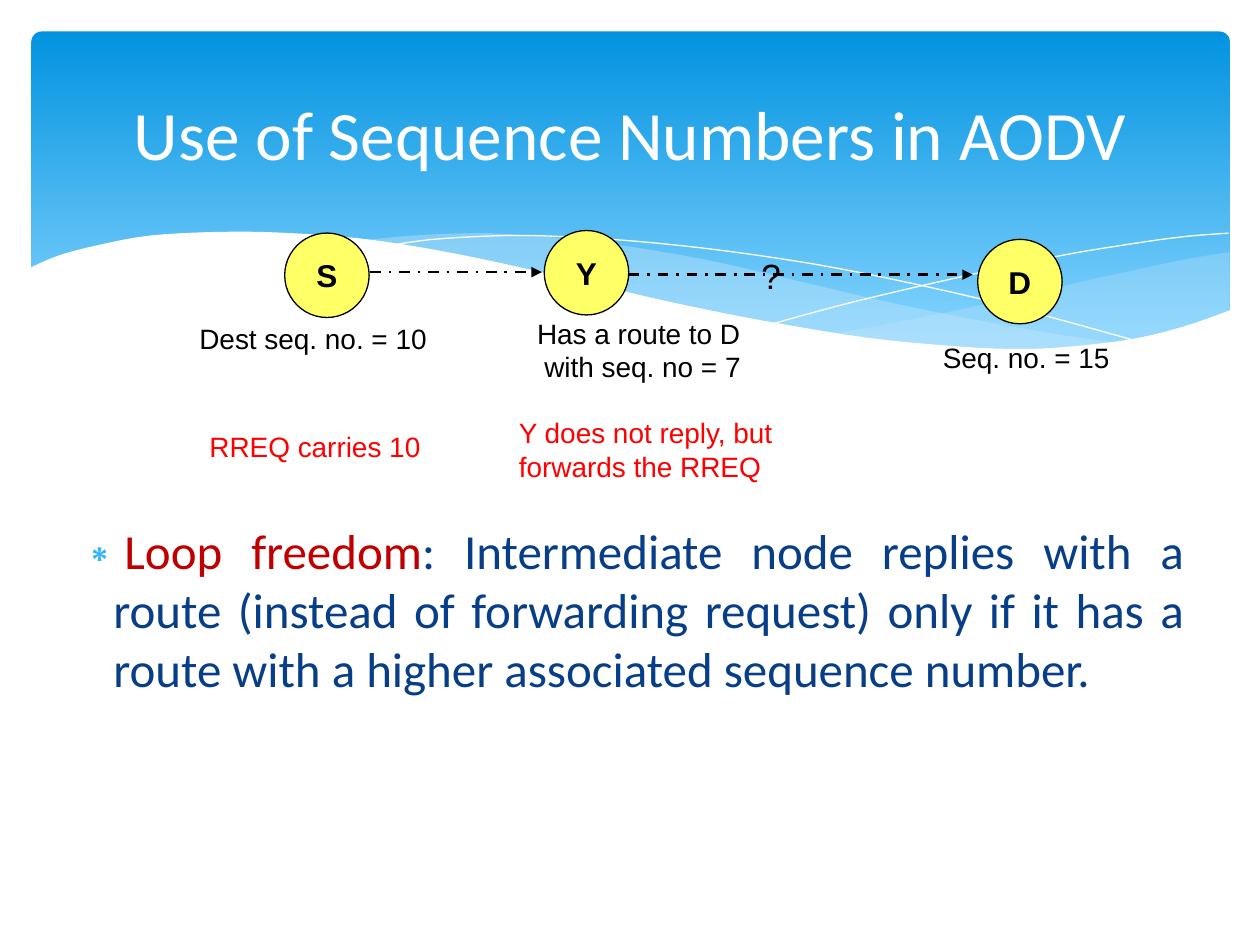
from lxml.etree import SubElement
from pptx import Presentation
from pptx.dml.color import RGBColor
from pptx.enum.dml import MSO_LINE_DASH_STYLE as DASH
from pptx.enum.shapes import MSO_CONNECTOR, MSO_SHAPE
from pptx.enum.text import MSO_ANCHOR, MSO_AUTO_SIZE, PP_ALIGN
from pptx.oxml.ns import qn
from pptx.util import Inches, Pt

BLACK = RGBColor(0x00, 0x00, 0x00)
WHITE = RGBColor(0xFF, 0xFF, 0xFF)
RED = RGBColor(0xFF, 0x00, 0x00)
DARK_RED = RGBColor(0xC0, 0x00, 0x00)
NAVY = RGBColor(0x07, 0x3E, 0x87)
YELLOW = RGBColor(0xFF, 0xFF, 0x66)
SKY_TOP = RGBColor(0x02, 0x93, 0xE0)
SKY_BOTTOM = RGBColor(0x83, 0xD3, 0xFE)
PALE_BLUE = RGBColor(0xC6, 0xE7, 0xFC)
BULLET_BLUE = RGBColor(0x31, 0xB6, 0xFD)

# Knots of the waves, in inches
RIGHT_TOP = [(9.76, 2), (9.35, 2.07), (8.61, 2.23), (7.79, 2.42), (7.06, 2.57), (6.61, 2.65)]
RIGHT_BOTTOM = [(6.61, 2.65), (7.05, 2.71), (7.57, 2.76), (8.03, 2.78), (8.54, 2.76),
                (8.97, 2.7), (9.35, 2.62), (9.76, 2.47)]
MIDDLE_TOP = [(8.93, 2.73), (8.37, 2.65), (7.75, 2.54), (7.06, 2.4), (6.29, 2.22), (5.69, 2.08),
              (5.14, 1.98), (4.65, 1.91), (4.2, 1.87), (3.8, 1.85), (3.28, 1.87), (2.86, 1.91)]
MIDDLE_BOTTOM = [(2.86, 1.91), (3.42, 1.99), (4.04, 2.11), (4.49, 2.22), (5.3, 2.4), (6.01, 2.55),
                 (6.65, 2.66), (7.22, 2.74), (7.73, 2.77), (8.18, 2.78), (8.57, 2.77), (8.93, 2.73)]
FALLING_LINE = [(3.09, 1.95), (3.44, 1.9), (4.01, 1.87), (4.5, 1.88), (5.1, 1.92), (5.82, 2),
                (6.65, 2.13), (7.6, 2.33), (8.31, 2.51), (9.07, 2.72)]
RISING_LINE = [(6.13, 2.57), (6.72, 2.41), (7.48, 2.23), (8.36, 2.04), (8.95, 1.94),
               (9.38, 1.88), (9.75, 1.85)]
WHITE_TOP = [(9.77, 2.46), (9.4, 2.59), (8.99, 2.69), (8.5, 2.75), (8.09, 2.77), (7.61, 2.75),
             (6.88, 2.68), (6.03, 2.54), (5.29, 2.39), (4.47, 2.2), (3.65, 2.02), (2.92, 1.9),
             (2.3, 1.85), (1.77, 1.84), (1.19, 1.87), (0.76, 1.95), (0.46, 2.03), (0.23, 2.13)]


def smooth(knots, steps=5):
    """Points of a Catmull-Rom curve through the knots."""
    padded = [knots[0], *knots, knots[-1]]
    points = [knots[0]]
    for a, b, c, d in zip(padded, padded[1:], padded[2:], padded[3:]):
        for step in range(1, steps + 1):
            t = step / steps
            points.append(tuple(
                (2 * q + (r - p) * t + (2 * p - 5 * q + 4 * r - s) * t**2
                 + (3 * q - p - 3 * r + s) * t**3) / 2
                for p, q, r, s in zip(a, b, c, d)))
    return points


class SlideBuilder:
    label_font, text_font = "Arial", "Calibri"
    label_size, node_size = 16, 0.67

    def __init__(self, slide):
        self.slide = slide
        self.shapes = slide.shapes

    def style(self, font, name, size, color, bold=False):
        font.name, font.size, font.bold = name, Pt(size), bold
        font.color.rgb = color

    def panel(self, left, top, width, height):
        shape = self.shapes.add_shape(MSO_SHAPE.ROUNDED_RECTANGLE, Inches(left), Inches(top),
                                      Inches(width), Inches(height))
        shape.shadow.inherit = False
        shape.adjustments[0] = 0.03
        shape.line.fill.background()
        shape.fill.gradient()
        shape.fill.gradient_angle = 270
        for stop, color, position in zip(shape.fill.gradient_stops,
                                         (SKY_TOP, SKY_BOTTOM), (0, 0.9)):
            stop.color.rgb, stop.position = color, position

    def wave(self, points, color=None, opacity=100):
        """A filled wave, or a thin white open line when no colour is given."""
        filled = color is not None
        # The builder rounds to whole units, so the points go in as EMU
        start, *others = [(Inches(x), Inches(y)) for x, y in points]
        builder = self.shapes.build_freeform(*start)
        builder.add_line_segments(others, close=filled)
        shape = builder.convert_to_shape()
        shape.shadow.inherit = False
        if filled:
            shape.fill.solid()
            shape.fill.fore_color.rgb = color
            shape.line.fill.background()
            if opacity < 100:
                rgb = shape._element.spPr.find(qn("a:solidFill"))[0]
                SubElement(rgb, qn("a:alpha"), val=str(opacity * 1000))
        else:
            shape.fill.background()
            shape.line.color.rgb = WHITE
            shape.line.width = Pt(0)

    def place(self, placeholder, left, top, width, height):
        placeholder.left, placeholder.top = Inches(left), Inches(top)
        placeholder.width, placeholder.height = Inches(width), Inches(height)
        self.shapes._spTree.append(placeholder._element)  # in front of the waves

    def title(self, text, *box):
        title = self.shapes.title
        self.place(title, *box)
        title.text_frame.text = text
        title.text_frame.vertical_anchor = MSO_ANCHOR.MIDDLE
        paragraph = title.text_frame.paragraphs[0]
        paragraph.alignment = PP_ALIGN.CENTER
        self.style(paragraph.runs[0].font, self.text_font, 39.6, WHITE)

    def bullet(self, runs, *box):
        body = self.slide.placeholders[1]
        self.place(body, *box)
        paragraph = body.text_frame.paragraphs[0]
        paragraph.alignment = PP_ALIGN.JUSTIFY
        paragraph.space_before = Pt(0)
        properties = paragraph._p.get_or_add_pPr()
        properties.set("marL", str(Inches(0.3)))
        properties.set("indent", str(-Inches(0.3)))
        SubElement(SubElement(properties, qn("a:buClr")), qn("a:srgbClr"), val=str(BULLET_BLUE))
        SubElement(properties, qn("a:buFont"), typeface=self.label_font)
        SubElement(properties, qn("a:buChar"), char="∗")
        for text, color in runs:
            run = paragraph.add_run()
            run.text = text
            self.style(run.font, self.text_font, 28, color)

    def node(self, name, left, top):
        size = Inches(self.node_size)
        shape = self.shapes.add_shape(MSO_SHAPE.OVAL, Inches(left), Inches(top), size, size)
        shape.shadow.inherit = False
        shape.fill.solid()
        shape.fill.fore_color.rgb = YELLOW
        shape.line.color.rgb = BLACK
        shape.line.width = Pt(0.75)
        frame = shape.text_frame
        frame.text, frame.word_wrap = name, False
        frame.vertical_anchor = MSO_ANCHOR.MIDDLE
        frame.paragraphs[0].alignment = PP_ALIGN.CENTER
        self.style(frame.paragraphs[0].runs[0].font, self.label_font, 18, BLACK, bold=True)

    def arrow(self, start, end, y):
        connector = self.shapes.add_connector(MSO_CONNECTOR.STRAIGHT, Inches(start), Inches(y),
                                              Inches(end), Inches(y))
        connector.line.color.rgb = BLACK
        connector.line.width = Pt(1.5)
        connector.line.dash_style = DASH.DASH_DOT
        SubElement(connector.line._get_or_add_ln(), qn("a:tailEnd"), type="triangle")
        SubElement(connector._element.spPr, qn("a:effectLst"))

    def label(self, text, left, top, width, height, color=BLACK, size=label_size,
              align=PP_ALIGN.CENTER):
        box = self.shapes.add_textbox(Inches(left), Inches(top), Inches(width), Inches(height))
        frame = box.text_frame
        frame.text, frame.word_wrap = text, False
        frame.auto_size = MSO_AUTO_SIZE.SHAPE_TO_FIT_TEXT
        for paragraph in frame.paragraphs:
            paragraph.alignment = align
            self.style(paragraph.runs[0].font, self.label_font, size, color)


def main():
    presentation = Presentation()
    presentation.slide_width, presentation.slide_height = Inches(10), Inches(7.5)
    builder = SlideBuilder(presentation.slides.add_slide(presentation.slide_layouts[1]))

    # Banner with waves
    builder.panel(0.25, 0.25, 9.51, 2.7)
    builder.wave(smooth(RIGHT_TOP) + smooth(RIGHT_BOTTOM), PALE_BLUE, 29)
    builder.wave(smooth(MIDDLE_TOP) + smooth(MIDDLE_BOTTOM), PALE_BLUE, 40)
    builder.wave(smooth(FALLING_LINE))
    builder.wave(smooth(RISING_LINE))
    builder.wave(smooth(WHITE_TOP) + [(0.23, 3.29), (9.77, 3.29)], WHITE)

    # Title and body
    builder.title("Use of Sequence Numbers in AODV", 0.5, 0.37, 9, 1.37)
    builder.bullet([("Loop freedom", DARK_RED),
                    (": Intermediate node replies with a route (instead of forwarding request) "
                     "only if it has a route with a higher associated sequence number.", NAVY)],
                   0.5, 4.08, 9, 2.62)

    # Nodes and route requests
    for name, left, top in (("S", 2.26, 1.85), ("Y", 4.32, 1.83), ("D", 7.76, 1.9)):
        builder.node(name, left, top)
    builder.arrow(2.94, 4.3, 2.16)
    builder.arrow(4.99, 7.72, 2.18)

    # Labels
    builder.label("?", 5.94, 1.97, 0.36, 0.43, size=20)
    builder.label("Dest seq. no. = 10", 1.48, 2.5, 2.01, 0.37)
    builder.label("Has a route to D \nwith seq. no = 7", 4.16, 2.46, 1.88, 0.64)
    builder.label("Seq. no. = 15", 7.38, 2.65, 1.53, 0.37)
    builder.label("RREQ carries 10", 1.56, 3.36, 1.88, 0.37, RED)
    builder.label("Y does not reply, but\nforwards the RREQ", 4.02, 3.25, 2.3, 0.64, RED,
                  align=PP_ALIGN.LEFT)

    presentation.save("out.pptx")


if __name__ == "__main__":
    main()
